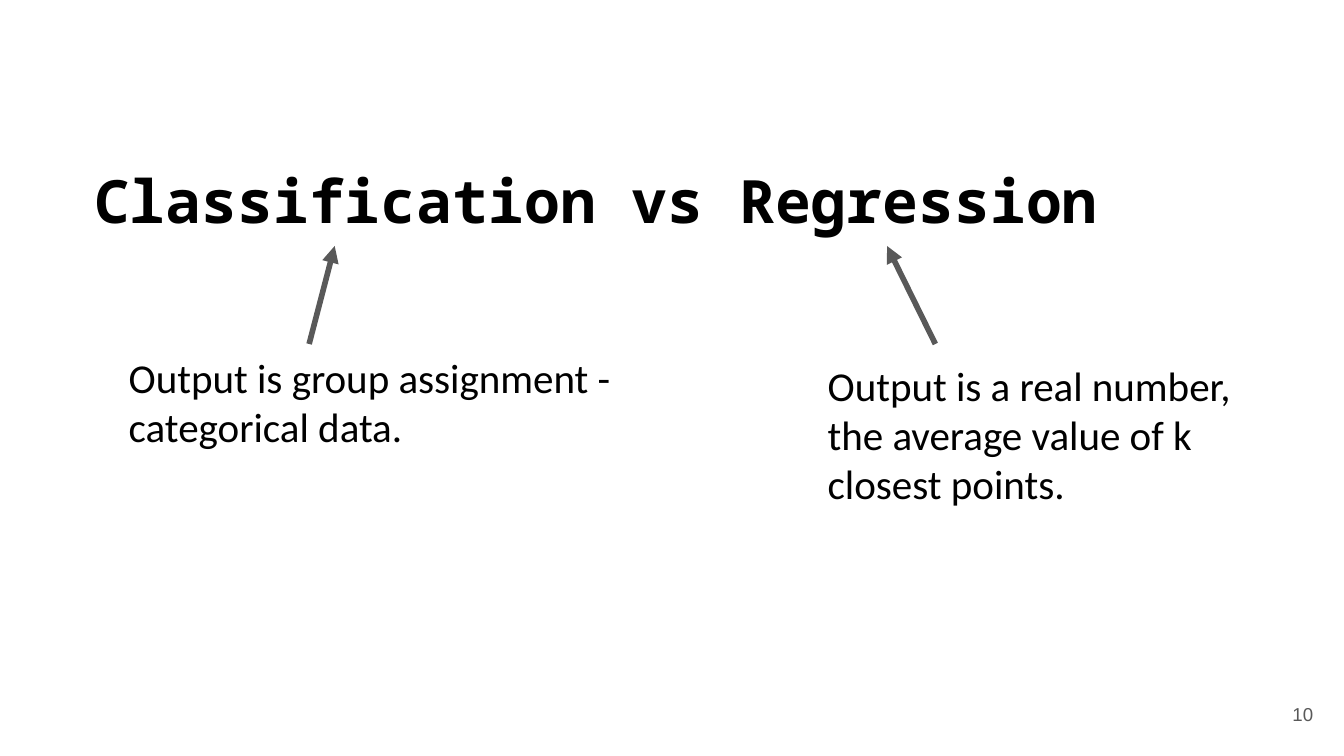
from lxml.etree import SubElement
from pptx import Presentation
from pptx.dml.color import RGBColor
from pptx.enum.shapes import MSO_CONNECTOR
from pptx.enum.text import MSO_ANCHOR, MSO_AUTO_SIZE, PP_ALIGN
from pptx.oxml.ns import qn
from pptx.util import Pt

# Content: places are left, top, width, height in points
BLACK, GREY = "000000", "595959"
TITLE = ("Classification vs Regression", (43.2, 80.6, 650.9, 53.3))
CAPTIONS = [
    ("Output is group assignment - categorical data.", (25.9, 181.4, 326.9, 67.7)),
    ("Output is a real number, the average value of k closest points.",
     (400.3, 185.8, 293.8, 94.3)),
]
PAGE_NUMBER = ("10", (667.4, 367.2, 43.2, 31))
ARROW_START, ARROW_END = 184.3, 131.8
ARROWS = [(165.6, 179.3), (501.1, 475.2)]  # start x, end x
INSET = 7.2
CAPTION_INDENT = 36


def color(value):
    return RGBColor.from_string(value)


def write(box, content, font_name, size, ink, bold=False):
    """Place a box, fill it with one paragraph and return the paragraph."""
    text, place = content
    box.left, box.top, box.width, box.height = map(Pt, place)
    frame = box.text_frame
    frame.word_wrap = True
    frame.auto_size = MSO_AUTO_SIZE.SHAPE_TO_FIT_TEXT
    frame.vertical_anchor = MSO_ANCHOR.TOP
    frame.margin_left = frame.margin_right = Pt(INSET)
    frame.margin_top = frame.margin_bottom = Pt(INSET)
    para = frame.paragraphs[0]
    para.text = text
    para.alignment = PP_ALIGN.LEFT
    para.font.name, para.font.size, para.font.bold = font_name, Pt(size), bold
    para.font.color.rgb = color(ink)
    return para


def add_text_box(page):
    return page.shapes.add_textbox(0, 0, 0, 0)


def add_arrow(page, start_x, end_x):
    arrow = page.shapes.add_connector(
        MSO_CONNECTOR.STRAIGHT, Pt(start_x), Pt(ARROW_START), Pt(end_x), Pt(ARROW_END))
    arrow.line.color.rgb = color(GREY)
    arrow.line.width = Pt(3)
    SubElement(arrow.line._get_or_add_ln(), qn("a:tailEnd"), type="triangle")
    SubElement(arrow._element.spPr, qn("a:effectLst"))


deck = Presentation()
deck.slide_width, deck.slide_height = Pt(720), Pt(405)
page = deck.slides.add_slide(deck.slide_layouts[5])

# Title
write(page.shapes.title, TITLE, "Noto Sans Mono", 32, BLACK, bold=True)

# Captions
for caption in CAPTIONS:
    para = write(add_text_box(page), caption, "Calibri", 22, BLACK)
    properties = para._p.get_or_add_pPr()
    properties.set("marL", str(Pt(CAPTION_INDENT)))
    properties.set("indent", "0")

# Arrows from captions to the title words
for start_x, end_x in ARROWS:
    add_arrow(page, start_x, end_x)

# Page number
number_box = add_text_box(page)
write(number_box, PAGE_NUMBER, "Arial", 10, GREY).alignment = PP_ALIGN.RIGHT
number_box.text_frame.auto_size = MSO_AUTO_SIZE.NONE
number_box.text_frame.vertical_anchor = MSO_ANCHOR.MIDDLE

deck.save("out.pptx")
